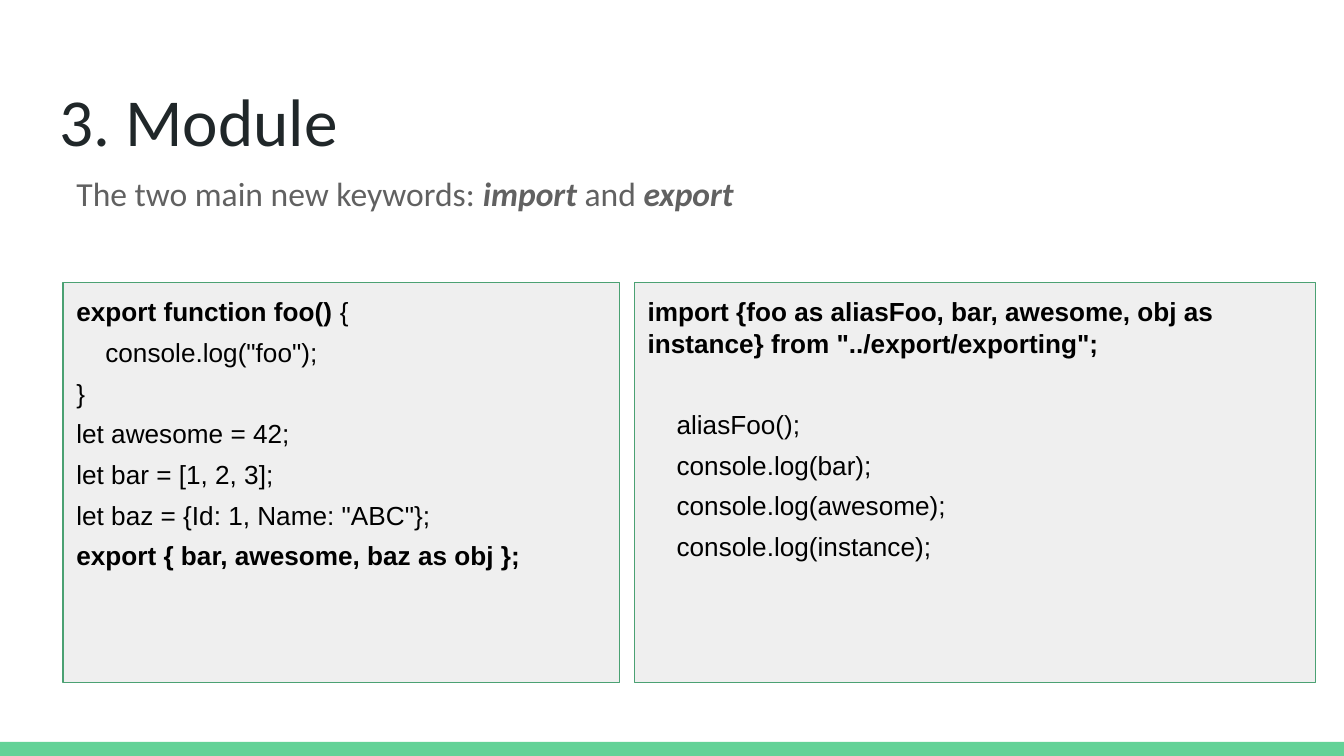
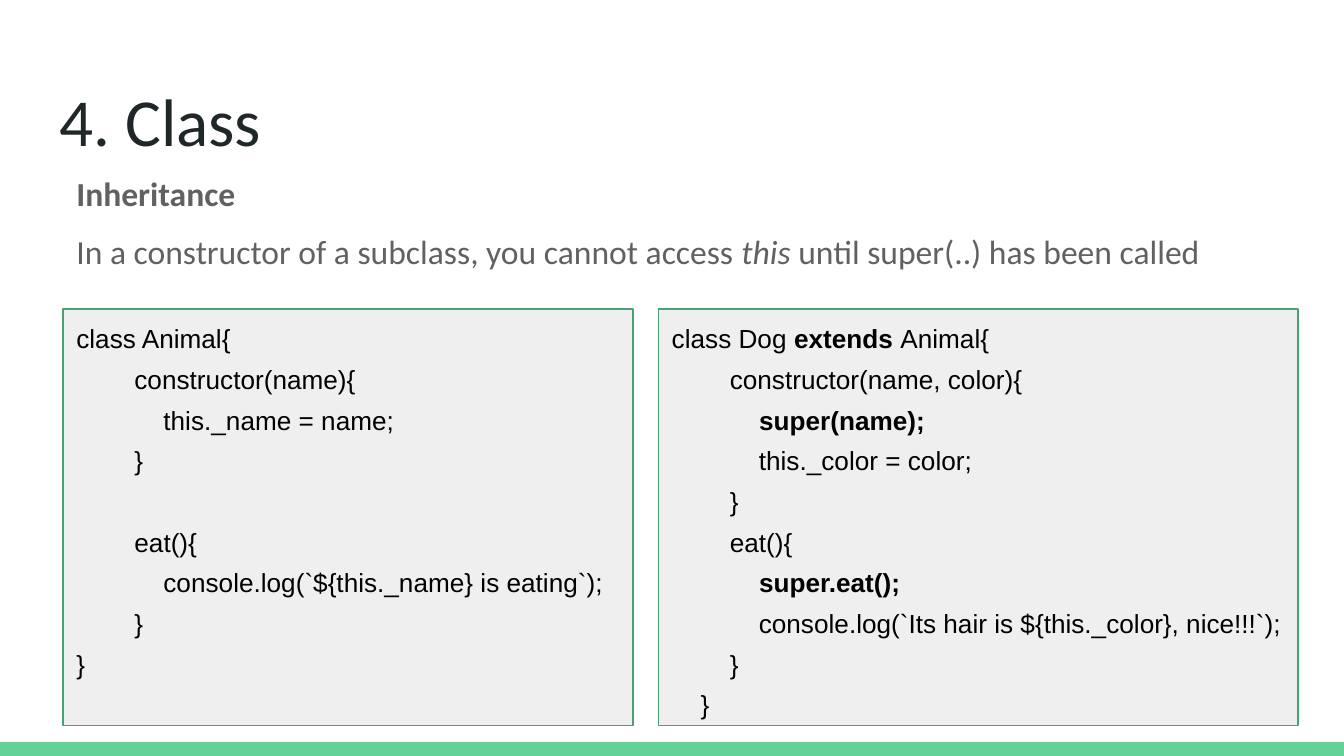
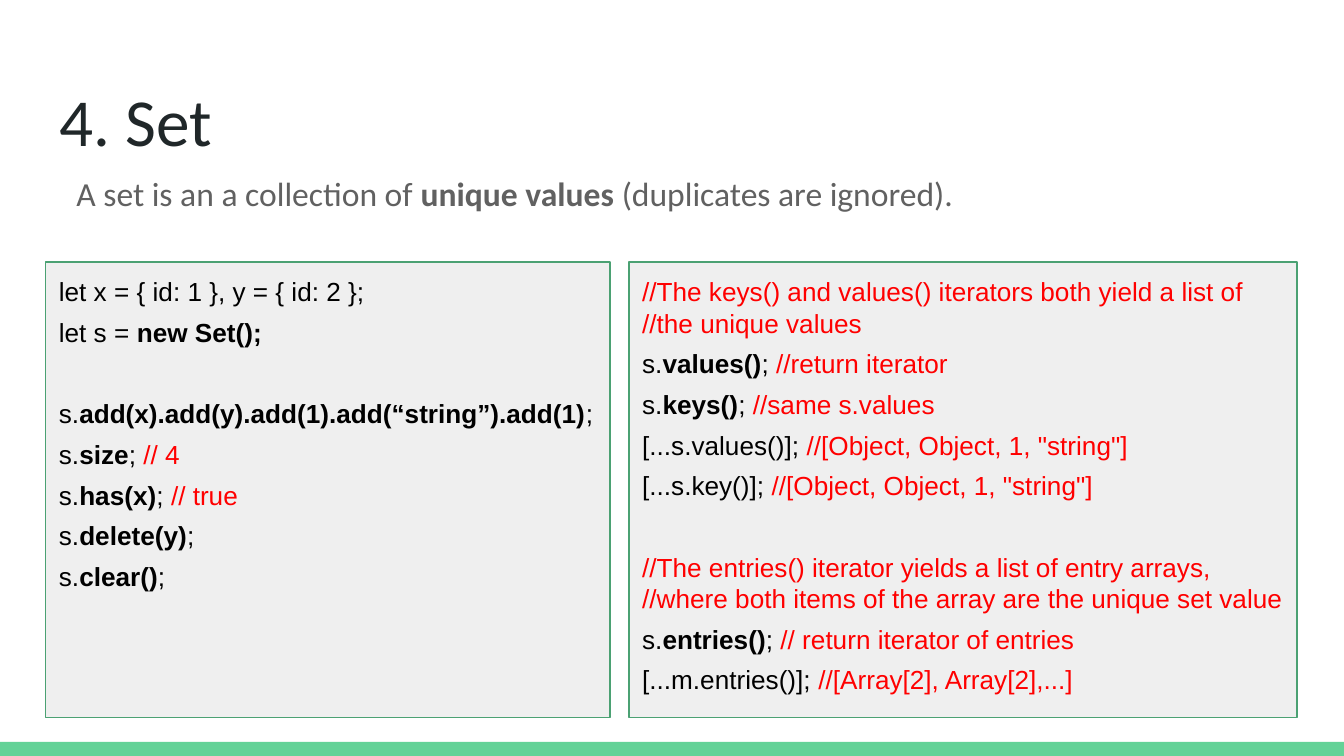
from dataclasses import dataclass

import pptx
import pptx.dml.color
import pptx.enum.shapes
import pptx.enum.text
import pptx.util

Inches = pptx.util.Inches
Pt = pptx.util.Pt
RGBColor = pptx.dml.color.RGBColor
RECTANGLE = pptx.enum.shapes.MSO_SHAPE.RECTANGLE


# Colours, fonts and type sizes
@dataclass(frozen=True)
class TextStyle:
    font: str
    size: int
    color: RGBColor
    space_after: int = 0


@dataclass(frozen=True)
class Theme:
    band: RGBColor = RGBColor.from_string("63D297")
    panel: RGBColor = RGBColor.from_string("EFEFEF")
    border: RGBColor = RGBColor.from_string("4BA173")
    comment: RGBColor = RGBColor.from_string("FF0000")
    title: TextStyle = TextStyle("Calibri", 36, RGBColor.from_string("202729"))
    intro: TextStyle = TextStyle("Calibri", 18, RGBColor.from_string("616161"), 9)
    code: TextStyle = TextStyle("Arial", 14, RGBColor.from_string("000000"), 5)
    code_gap: float = 21.8


THEME = Theme()


# Slide contents: ** switches bold, ~~ switches italic, an empty code line is a gap
@dataclass(frozen=True)
class CodePanel:
    left: float
    width: float
    code: str


@dataclass(frozen=True)
class Lesson:
    title: str
    intro: list[str]
    intro_height: float
    panel_top: float
    panel_height: float
    panels: list[CodePanel]


LESSONS = [
    Lesson(
        "3. Module",
        ["The two main new keywords: **~~import ~~**and **~~export~~**"],
        0.6, 2.1, 2.98,
        [
            CodePanel(0.47, 4.14, """\
**export function foo()** {
    console.log("foo");
}
let awesome = 42;
let bar = [1, 2, 3];
let baz = {Id: 1, Name: "ABC"};
**export { bar, awesome, baz as obj };**"""),
            CodePanel(4.72, 5.07, """\
**import {foo as aliasFoo, bar, awesome, obj as instance} from "../export/exporting";**

    aliasFoo();
    console.log(bar);
    console.log(awesome);
    console.log(instance);"""),
        ],
    ),
    Lesson(
        "4. Class",
        [
            "**Inheritance**",
            "In a constructor of a subclass, you cannot access ~~this ~~"
            "until super(..) has been called",
        ],
        0.92, 2.3, 3.1,
        [
            CodePanel(0.47, 4.24, """\
class Animal{
        constructor(name){
            this._name = name;
        }

        eat(){
            console.log(`${this._name} is eating`);
        }
}"""),
            CodePanel(4.9, 4.76, """\
class Dog **extends **Animal{
        constructor(name, color){
            **super(name);**
            this._color = color;
        }
        eat(){
            **super.eat();**
            console.log(`Its hair is ${this._color}, nice!!!`);
        }
    }"""),
        ],
    ),
    Lesson(
        "4. Set",
        ["A set is an a collection of **unique values** (duplicates are ignored)."],
        1.05, 1.95, 3.39,
        [
            CodePanel(0.34, 4.2, """\
let x = { id: 1 }, y = { id: 2 };
let s = **new Set();**

s.**add(x).add(y).add(1).add(“string”).add(1)**;
s.**size**; // 4
s.**has(x)**; // true
s.**delete(y)**;
s.**clear()**;"""),
            CodePanel(4.68, 4.97, """\
//The keys() and values() iterators both yield a list of //the unique values
s.**values()**; //return iterator
s.**keys()**; //same s.values
[...s.values()]; //[Object, Object, 1, "string"]
[...s.key()]; //[Object, Object, 1, "string"]

//The entries() iterator yields a list of entry arrays, //where both items of the array are the unique set value
s.**entries()**; // return iterator of entries
[...m.entries()]; //[Array[2], Array[2],...]"""),
        ],
    ),
]


# Text
def prepare_frame(frame) -> None:
    frame.word_wrap = True
    frame.auto_size = pptx.enum.text.MSO_AUTO_SIZE.NONE
    frame.vertical_anchor = pptx.enum.text.MSO_ANCHOR.TOP
    frame.margin_left = frame.margin_right = Inches(0.1)
    frame.margin_top = frame.margin_bottom = Inches(0.1)


def style_paragraph(paragraph, style: TextStyle) -> None:
    paragraph.alignment = pptx.enum.text.PP_ALIGN.LEFT
    paragraph.space_after = Pt(style.space_after)
    paragraph.font.name = style.font
    paragraph.font.size = Pt(style.size)
    paragraph.font.color.rgb = style.color


def add_marked_runs(paragraph, marked_text: str) -> None:
    for bold_index, bold_part in enumerate(marked_text.split("**")):
        for italic_index, text in enumerate(bold_part.split("~~")):
            if text:
                run = paragraph.add_run()
                run.text = text
                if bold_index % 2:
                    run.font.bold = True
                if italic_index % 2:
                    run.font.italic = True


def write_lines(frame, lines: list[str], style: TextStyle) -> None:
    prepare_frame(frame)
    paragraph = None
    gap = False
    for line in lines:
        if not line:
            gap = True
            continue
        paragraph = frame.add_paragraph() if paragraph else frame.paragraphs[0]
        style_paragraph(paragraph, style)
        if gap:
            paragraph.space_before = Pt(THEME.code_gap)
            gap = False
        statement, slashes, comment = line.partition("//")
        add_marked_runs(paragraph, statement)
        if slashes:
            run = paragraph.add_run()
            run.text = slashes + comment
            run.font.color.rgb = THEME.comment


# Slide parts
def add_band(slide) -> None:
    band = slide.shapes.add_shape(
        RECTANGLE, Inches(0), Inches(5.52), Inches(10), Inches(0.11))
    band.shadow.inherit = False
    band.fill.solid()
    band.fill.fore_color.rgb = THEME.band
    band.line.fill.background()


def set_title(slide, text: str) -> None:
    title = slide.shapes.title
    title.left, title.top = Inches(0.34), Inches(0.49)
    title.width, title.height = Inches(9.32), Inches(0.76)
    write_lines(title.text_frame, [text], THEME.title)


def add_intro(slide, lesson: Lesson) -> None:
    intro = slide.shapes.add_textbox(
        Inches(0.47), Inches(1.19), Inches(9.32), Inches(lesson.intro_height))
    write_lines(intro.text_frame, lesson.intro, THEME.intro)


def add_code_panel(slide, panel: CodePanel, top: float, height: float) -> None:
    shape = slide.shapes.add_shape(
        RECTANGLE, Inches(panel.left), Inches(top), Inches(panel.width), Inches(height))
    shape.shadow.inherit = False
    shape.fill.solid()
    shape.fill.fore_color.rgb = THEME.panel
    shape.line.color.rgb = THEME.border
    shape.line.width = Pt(0.75)
    write_lines(shape.text_frame, panel.code.splitlines(), THEME.code)


def add_lesson(presentation, lesson: Lesson) -> None:
    title_only = presentation.slide_layouts[5]
    slide = presentation.slides.add_slide(title_only)
    add_band(slide)
    set_title(slide, lesson.title)
    add_intro(slide, lesson)
    for panel in lesson.panels:
        add_code_panel(slide, panel, lesson.panel_top, lesson.panel_height)


def main() -> None:
    presentation = pptx.Presentation()
    presentation.slide_width = Inches(10)
    presentation.slide_height = presentation.slide_width * 9 // 16
    for lesson in LESSONS:
        add_lesson(presentation, lesson)
    presentation.save("out.pptx")


if __name__ == "__main__":
    main()
